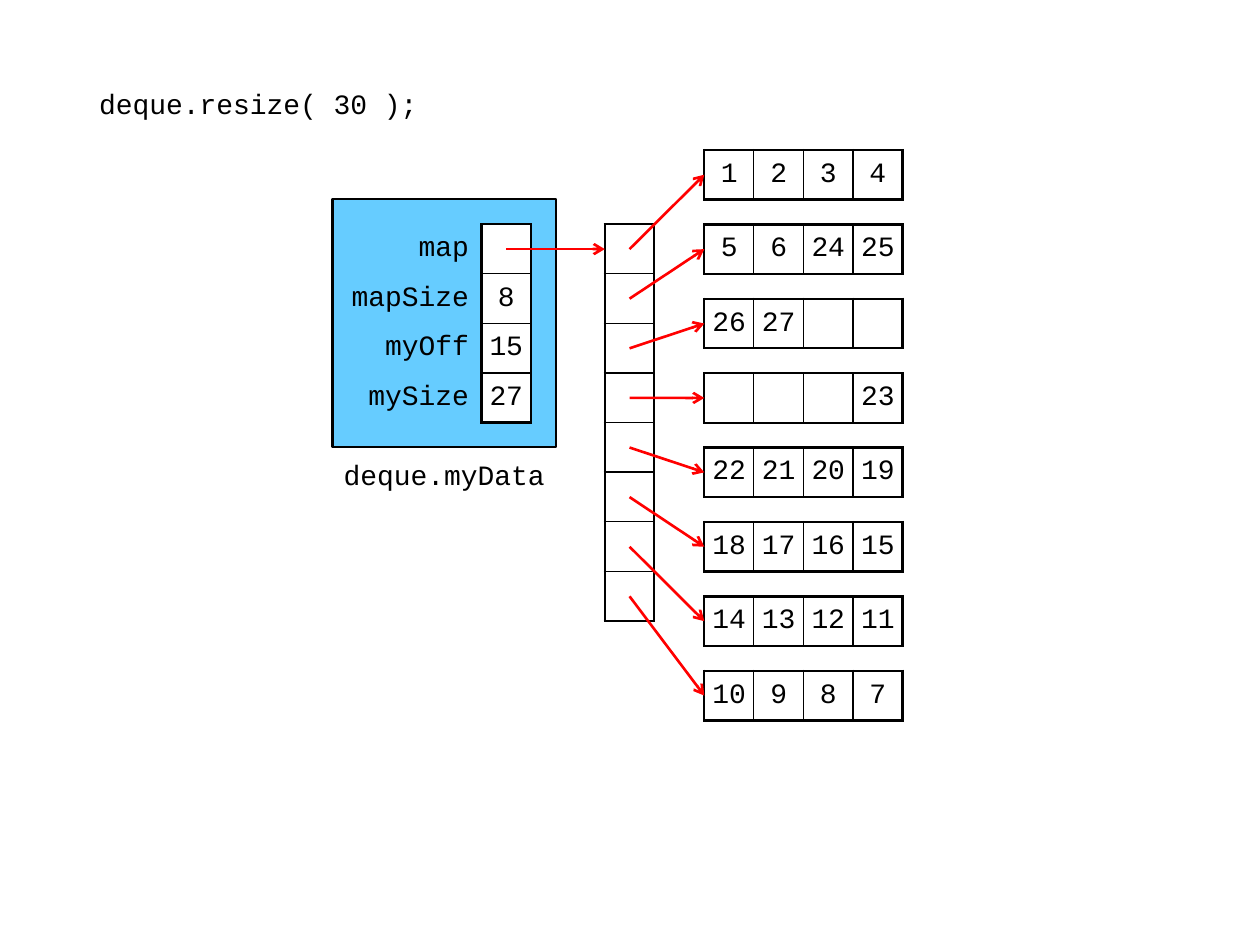
from lxml import etree
from pptx import Presentation
from pptx import util as u
from pptx.dml.color import RGBColor
from pptx.enum import shapes, text
from pptx.oxml import ns

# Content
TITLE = "deque.resize( 30 );"
BOX_LABEL = "deque.myData"
FIELDS = [("map", ""), ("mapSize", "8"), ("myOff", "15"), ("mySize", "27")]
BLOCKS = [
    ("1", "2", "3", "4"),
    ("5", "6", "24", "25"),
    ("26", "27", "", ""),
    ("", "", "", "23"),
    ("22", "21", "20", "19"),
    ("18", "17", "16", "15"),
    ("14", "13", "12", "11"),
    ("10", "9", "8", "7"),
]

# Style and layout, in inches
COLORS = {"ink": "000000", "paper": "FFFFFF", "box": "66CCFF", "arrow": "FF0000"}
FONT, SIZE = "Courier New", 16
THICK, THIN = 1.5, 0.75
CELL = 1 / 2.54
PITCH = 1.5 * CELL
BOX_X, BOX_Y, BOX_W = 2.64, 1.58, 4.5 * CELL
GRID_Y = 1.78
LABEL_W = 3 * CELL
MAP_X = 4.8
BLOCK_X, BLOCK_Y = 5.59, 1.19

prs = Presentation()
prs.slide_width, prs.slide_height = u.Inches(10), u.Inches(7.5)
s = prs.slides.add_slide(prs.slide_layouts[5])


def rgb(name):
    return RGBColor.from_string(COLORS[name])


def write(tf, words, align=text.PP_ALIGN.CENTER):
    p = tf.paragraphs[0]
    p.alignment = align
    r = p.add_run()
    r.text = words
    r.font.name, r.font.size = FONT, u.Pt(SIZE)
    r.font.color.rgb = rgb("ink")


def write_box(sp, words):
    tf = sp.text_frame
    tf.word_wrap = True
    tf.auto_size = text.MSO_AUTO_SIZE.NONE
    tf.vertical_anchor = text.MSO_ANCHOR.MIDDLE
    tf.margin_left = tf.margin_right = tf.margin_bottom = 0
    tf.margin_top = u.Inches(0.04)
    write(tf, words)


def set_border(cell, side, width):
    ln = etree.SubElement(cell._tc.get_or_add_tcPr(), ns.qn("a:ln" + side))
    if not width:
        etree.SubElement(ln, ns.qn("a:noFill"))
        return
    ln.set("w", str(u.Pt(width)))
    fill = etree.SubElement(ln, ns.qn("a:solidFill"))
    etree.SubElement(fill, ns.qn("a:srgbClr"), val=COLORS["ink"])


def add_grid(rows, x, y, labels=False):
    """Square cells in a thick frame; labels=True adds a bare first column."""
    n_rows, n_cols = len(rows), len(rows[0])
    widths = [LABEL_W if labels and c == 0 else CELL for c in range(n_cols)]
    frame = s.shapes.add_table(n_rows, n_cols, u.Inches(x), u.Inches(y),
                               u.Inches(sum(widths)), u.Inches(n_rows * CELL))
    table = frame.table
    table.first_row = table.horz_banding = False
    for col, width in zip(table.columns, widths):
        col.width = u.Inches(width)
    first = 1 if labels else 0
    for i, row in enumerate(rows):
        table.rows[i].height = u.Inches(CELL)
        for j, words in enumerate(row):
            cell = table.cell(i, j)
            is_label = j < first
            cell.vertical_anchor = text.MSO_ANCHOR.MIDDLE
            cell.margin_left = cell.margin_right = u.Inches(0.1 if is_label else 0)
            cell.margin_top = cell.margin_bottom = u.Inches(0.04)
            if is_label:
                borders = {"L": 0, "R": THICK, "T": 0, "B": 0}
            else:
                borders = {"L": THICK if j == first else THIN,
                           "R": THICK if j == n_cols - 1 else THIN,
                           "T": THICK if i == 0 else THIN,
                           "B": THICK if i == n_rows - 1 else THIN}
            for side, width in borders.items():
                set_border(cell, side, width)
            if is_label:
                cell.fill.background()
            else:
                cell.fill.solid()
                cell.fill.fore_color.rgb = rgb("paper")
            if words:
                write(cell.text_frame, words,
                      text.PP_ALIGN.RIGHT if is_label else text.PP_ALIGN.CENTER)


def add_arrow(x1, y1, x2, y2):
    line = s.shapes.add_connector(shapes.MSO_CONNECTOR.STRAIGHT,
                                  *map(u.Inches, (x1, y1, x2, y2)))
    line.line.color.rgb = rgb("arrow")
    line.line.width = u.Pt(THICK)
    etree.SubElement(line.line._get_or_add_ln(), ns.qn("a:tailEnd"), type="arrow")
    etree.SubElement(line._element.spPr, ns.qn("a:effectLst"))


# Title
title = s.shapes.title
title.left, title.top = u.Inches(0.67), u.Inches(0.6)
title.width, title.height = u.Inches(2.76), u.Inches(CELL)
write_box(title, TITLE)

# Data box, its label and its fields
box = s.shapes.add_shape(shapes.MSO_SHAPE.FLOWCHART_PROCESS, u.Inches(BOX_X),
                         u.Inches(BOX_Y), u.Inches(BOX_W), u.Inches(5 * CELL))
box.shadow.inherit = False
box.fill.solid()
box.fill.fore_color.rgb = rgb("box")
box.line.color.rgb = rgb("ink")
box.line.width = u.Pt(THICK)
label = s.shapes.add_textbox(u.Inches(BOX_X), u.Inches(BOX_Y + 5 * CELL),
                             u.Inches(BOX_W), u.Inches(CELL))
write_box(label, BOX_LABEL)
add_grid(FIELDS, BOX_X, GRID_Y, labels=True)

# Map column and data blocks
add_grid([("",)] * len(BLOCKS), MAP_X, GRID_Y)
for i, block in enumerate(BLOCKS):
    add_grid([block], BLOCK_X, BLOCK_Y + i * PITCH)

# Pointers, from cell centres to the left edge of their targets
half = CELL / 2
add_arrow(BOX_X + LABEL_W + half, GRID_Y + half, MAP_X, GRID_Y + half)
for i in range(len(BLOCKS)):
    add_arrow(MAP_X + half, GRID_Y + half + i * CELL,
              BLOCK_X, BLOCK_Y + half + i * PITCH)

prs.save("out.pptx")
